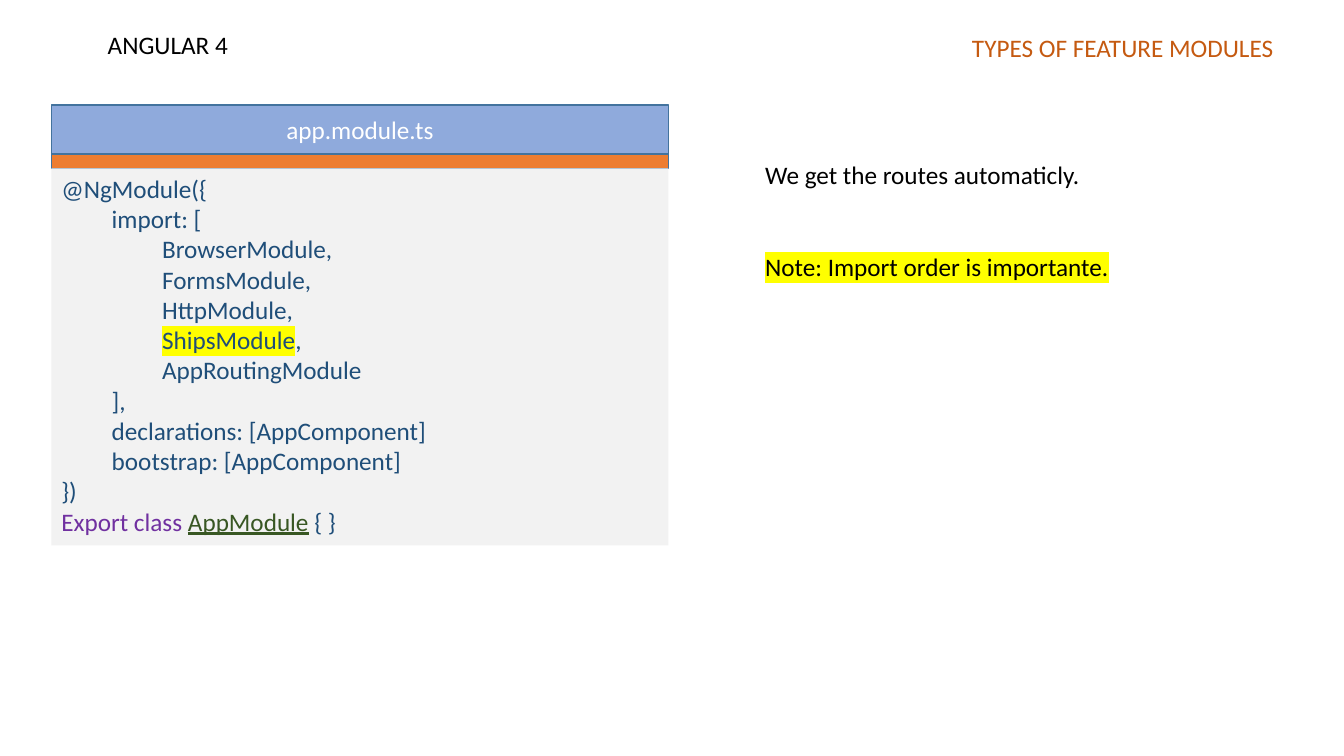
from lxml import etree
from pptx import Presentation
from pptx.dml.color import RGBColor
from pptx.enum.shapes import MSO_SHAPE
from pptx.enum.text import MSO_ANCHOR, MSO_AUTO_SIZE, PP_ALIGN
from pptx.oxml.ns import qn
from pptx.util import Inches, Pt

BLACK = RGBColor(0x00, 0x00, 0x00)
WHITE = RGBColor(0xFF, 0xFF, 0xFF)
RUST = RGBColor(0xC5, 0x5A, 0x11)
LIGHT_BLUE = RGBColor(0x8F, 0xAA, 0xDC)
BORDER_BLUE = RGBColor(0x43, 0x73, 0x9E)
ORANGE = RGBColor(0xED, 0x7D, 0x31)
LIGHT_GRAY = RGBColor(0xF2, 0xF2, 0xF2)
CODE_BLUE = RGBColor(0x1F, 0x4E, 0x79)
KEYWORD_PURPLE = RGBColor(0x70, 0x30, 0xA0)
CLASS_GREEN = RGBColor(0x38, 0x57, 0x23)
YELLOW = RGBColor(0xFF, 0xFF, 0x00)

CODE_LINES = [
    "@NgModule({",
    "\timport: [",
    "\t\tBrowserModule,",
    "\t\tFormsModule,",
    "\t\tHttpModule,",
    "\t\tShipsModule,",
    "\t\tAppRoutingModule",
    "\t],",
    "\tdeclarations: [AppComponent]",
    "\tbootstrap: [AppComponent]",
    "})",
    "Export class AppModule { }",
]
HIGHLIGHTED = "ShipsModule"
KEYWORDS = "Export class "
CLASS_NAME = "AppModule"


def format_run(run, color):
    run.font.name = "Calibri"
    run.font.size = Pt(18)
    run.font.color.rgb = color


def highlight(run):
    """Mark an already coloured run in yellow."""
    mark = etree.Element(qn("a:highlight"))
    etree.SubElement(mark, qn("a:srgbClr")).set("val", str(YELLOW))
    run.font._element.find(qn("a:solidFill")).addnext(mark)


def write_lines(text_frame, lines, color, alignment=PP_ALIGN.LEFT):
    text_frame.word_wrap = True
    text_frame.auto_size = MSO_AUTO_SIZE.NONE
    text_frame.text = "\n".join(lines)
    for paragraph in text_frame.paragraphs:
        paragraph.alignment = alignment
        for run in paragraph.runs:
            format_run(run, color)


def split_run(paragraph, word, color):
    """Give word its own run and return it; the text around it keeps the given colour."""
    before, after = paragraph.text.split(word)
    paragraph.text = before
    for text in (word, after):
        paragraph.add_run().text = text
    for run in paragraph.runs:
        format_run(run, color)
    return paragraph.runs[-2]


def add_box(slide, left, top, width, height, fill, line=None):
    box = slide.shapes.add_shape(
        MSO_SHAPE.RECTANGLE, Inches(left), Inches(top), Inches(width), Inches(height))
    box.shadow.inherit = False
    box.fill.solid()
    box.fill.fore_color.rgb = fill
    if line is None:
        box.line.fill.background()
    else:
        box.line.color.rgb = line
        box.line.width = Pt(1)
    return box


def add_text(slide, left, top, width, height, lines, color):
    text_box = slide.shapes.add_textbox(
        Inches(left), Inches(top), Inches(width), Inches(height))
    write_lines(text_box.text_frame, lines, color)
    return text_box


def place_title(slide, left, top, width, height):
    title = slide.shapes.title
    title.left, title.top = Inches(left), Inches(top)
    title.width, title.height = Inches(width), Inches(height)
    write_lines(title.text_frame, ["TYPES OF FEATURE MODULES"], RUST)
    title.text_frame.vertical_anchor = MSO_ANCHOR.TOP


def add_code_panel(slide, left, top, width, height):
    header_height, stripe_height = 0.49, 0.14
    header = add_box(slide, left, top, width, header_height, LIGHT_BLUE, BORDER_BLUE)
    write_lines(header.text_frame, ["app.module.ts"], WHITE, PP_ALIGN.CENTER)
    header.text_frame.vertical_anchor = MSO_ANCHOR.MIDDLE

    stripe_top = top + header_height
    add_box(slide, left, stripe_top, width, stripe_height, ORANGE, BORDER_BLUE)

    code_top = stripe_top + stripe_height
    code = add_box(slide, left, code_top, width, top + height - code_top, LIGHT_GRAY)
    write_lines(code.text_frame, CODE_LINES, CODE_BLUE)
    code.text_frame.vertical_anchor = MSO_ANCHOR.TOP

    paragraphs = code.text_frame.paragraphs
    ships_line = next(p for p in paragraphs if HIGHLIGHTED in p.text)
    highlight(split_run(ships_line, HIGHLIGHTED, CODE_BLUE))
    class_run = split_run(paragraphs[-1], CLASS_NAME, CODE_BLUE)
    class_run.font.color.rgb = CLASS_GREEN
    class_run.font.underline = True
    paragraphs[-1].runs[0].font.color.rgb = KEYWORD_PURPLE


def add_notes_column(slide, left, top, width, height):
    lines = ["We get the routes automaticly.", "Note: Import order is importante."]
    column = add_text(slide, left, top, width, height, lines, BLACK)
    note = column.text_frame.paragraphs[-1]
    note.space_before = Pt(44)
    highlight(note.runs[0])


def main():
    presentation = Presentation()
    presentation.slide_width = Inches(13.33)
    presentation.slide_height = Inches(7.5)
    title_only = presentation.slide_layouts.get_by_name("Title Only")
    slide = presentation.slides.add_slide(title_only)

    add_text(slide, 0.97, 0.24, 1.5, 0.4, ["ANGULAR 4"], BLACK)
    place_title(slide, 9.54, 0.27, 3.4, 0.4)
    add_code_panel(slide, 0.51, 1.04, 6.12, 4.37)
    add_notes_column(slide, 7.49, 1.53, 4.79, 1.31)

    presentation.save("out.pptx")


if __name__ == "__main__":
    main()
